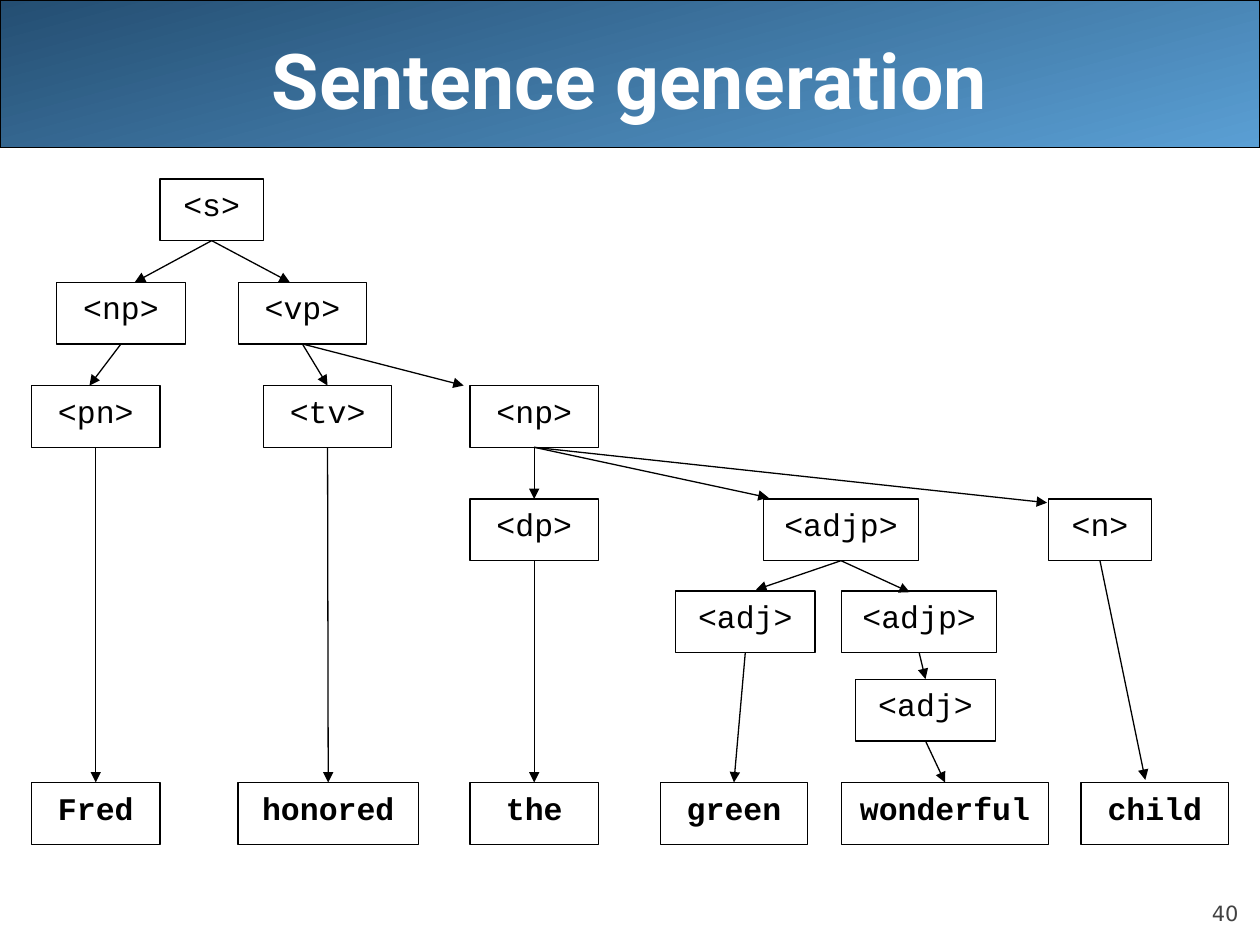
from dataclasses import dataclass

from lxml.etree import SubElement
from pptx import Presentation
from pptx.dml.color import RGBColor
from pptx.enum.shapes import MSO_CONNECTOR, MSO_SHAPE
from pptx.enum.text import MSO_ANCHOR, PP_ALIGN
from pptx.oxml.ns import qn
from pptx.util import Inches, Pt


@dataclass(frozen=True)
class Theme:
    ink: RGBColor = RGBColor(0x00, 0x00, 0x00)
    paper: RGBColor = RGBColor(0xFF, 0xFF, 0xFF)
    muted: RGBColor = RGBColor(0x42, 0x42, 0x42)
    banner_dark: RGBColor = RGBColor(0x24, 0x4E, 0x72)
    banner_light: RGBColor = RGBColor(0x5A, 0x9F, 0xD4)
    title_font: str = "Roboto"
    node_font: str = "Courier New"
    number_font: str = "DejaVu Sans"
    title_size: int = 44
    node_size: int = 18
    number_size: int = 12
    line_width: float = 0.75


class SlideBuilder:
    """Holds the theme and the slide being filled."""

    def __init__(self, slide, theme):
        self.slide = slide
        self.theme = theme

    def set_text(self, shape, text, font, size, color, bold=False,
                 align=PP_ALIGN.CENTER, anchor=MSO_ANCHOR.TOP):
        text_frame = shape.text_frame
        text_frame.text = text
        text_frame.word_wrap = True
        text_frame.vertical_anchor = anchor
        paragraph = text_frame.paragraphs[0]
        paragraph.alignment = align
        run_font = paragraph.runs[0].font
        run_font.name, run_font.size, run_font.bold = font, Pt(size), bold
        run_font.color.rgb = color

    def outline(self, shape):
        shape.line.color.rgb = self.theme.ink
        shape.line.width = Pt(self.theme.line_width)

    def box(self, preset, left, top, width, height):
        shape = self.slide.shapes.add_shape(
            preset, Inches(left), Inches(top), Inches(width), Inches(height))
        shape.shadow.inherit = False
        self.outline(shape)
        return shape

    def banner(self, width, height):
        shape = self.box(MSO_SHAPE.ROUNDED_RECTANGLE, 0, 0, width, height)
        shape.adjustments[0] = 0
        shape.fill.gradient()
        shape.fill.gradient_angle = 285
        stops = shape.fill.gradient_stops
        stops[0].color.rgb = self.theme.banner_dark
        stops[1].color.rgb = self.theme.banner_light

    def title(self, text):
        theme = self.theme
        shape = self.slide.shapes.add_textbox(
            Inches(0.5), Inches(0), Inches(9), Inches(1.25))
        self.set_text(shape, text, theme.title_font, theme.title_size,
                      theme.paper, bold=True, anchor=MSO_ANCHOR.MIDDLE)

    def page_number(self, text):
        theme = self.theme
        shape = self.slide.shapes.add_textbox(
            Inches(9), Inches(6.95), Inches(0.83), Inches(0.4))
        text_frame = shape.text_frame
        text_frame.margin_left = text_frame.margin_right = 0
        text_frame.margin_top = text_frame.margin_bottom = 0
        self.set_text(shape, text, theme.number_font, theme.number_size,
                      theme.muted, align=PP_ALIGN.RIGHT, anchor=MSO_ANCHOR.BOTTOM)

    def node(self, text, left, top, width):
        theme = self.theme
        shape = self.box(MSO_SHAPE.RECTANGLE, left, top, width, NODE_HEIGHT)
        shape.fill.solid()
        shape.fill.fore_color.rgb = theme.paper
        self.set_text(shape, text, theme.node_font, theme.node_size, theme.ink,
                      bold=not text.startswith("<"))
        return shape

    def arrow(self, parent, child, tip=None):
        """Runs from the parent's bottom to the child's top, or to a given tip."""
        end_x, end_y = tip or (0, 0)
        connector = self.slide.shapes.add_connector(
            MSO_CONNECTOR.STRAIGHT, 0, 0, Inches(end_x), Inches(end_y))
        connector.begin_connect(parent, 2)
        if tip is None:
            connector.end_connect(child, 0)
        self.outline(connector)
        properties = connector._element.spPr
        SubElement(properties.find(qn("a:ln")), qn("a:tailEnd"), type="triangle")
        SubElement(properties, qn("a:effectLst"))


NODE_HEIGHT = 0.49

# Top of each level of the parse tree
SENTENCE, PHRASE, PART, DETAIL, ADJECTIVE, INNER, WORD = (
    1.42, 2.24, 3.06, 3.96, 4.69, 5.39, 6.21)

# Key: label, left, level, width
NODES = {
    "s": ("<s>", 1.27, SENTENCE, 0.82),
    "subject": ("<np>", 0.45, PHRASE, 1.02),
    "vp": ("<vp>", 1.89, PHRASE, 1.02),
    "pn": ("<pn>", 0.25, PART, 1.02),
    "tv": ("<tv>", 2.09, PART, 1.02),
    "object": ("<np>", 3.73, PART, 1.02),
    "dp": ("<dp>", 3.73, DETAIL, 1.02),
    "adjp": ("<adjp>", 6.06, DETAIL, 1.23),
    "n": ("<n>", 8.32, DETAIL, 0.82),
    "adj": ("<adj>", 5.36, ADJECTIVE, 1.11),
    "inner adjp": ("<adjp>", 6.68, ADJECTIVE, 1.23),
    "inner adj": ("<adj>", 6.79, INNER, 1.11),
    "Fred": ("Fred", 0.25, WORD, 1.02),
    "honored": ("honored", 1.89, WORD, 1.43),
    "the": ("the", 3.73, WORD, 1.02),
    "green": ("green", 5.24, WORD, 1.17),
    "wonderful": ("wonderful", 6.68, WORD, 1.64),
    "child": ("child", 8.58, WORD, 1.17),
}

# Parent, child, and the tip where it is not the middle of the child's top
BRANCHES = [
    ("s", "subject", (1.07, 2.24)),
    ("s", "vp", (2.3, 2.24)),
    ("subject", "pn", (0.71, 3.06)),
    ("vp", "tv"),
    ("vp", "object", (3.68, 3.06)),
    ("pn", "Fred"),
    ("tv", "honored"),
    ("object", "dp"),
    ("object", "adjp", (6.1, 3.95)),
    ("object", "n", (8.31, 3.99)),
    ("dp", "the"),
    ("adjp", "adj", (6, 4.68)),
    ("adjp", "inner adjp", (7.22, 4.7)),
    ("inner adjp", "inner adj"),
    ("inner adj", "wonderful"),
    ("adj", "green"),
    ("n", "child", (9.09, 6.19)),
]


def main():
    presentation = Presentation()
    presentation.slide_width, presentation.slide_height = Inches(10), Inches(7.5)
    slide = presentation.slides.add_slide(presentation.slide_layouts[6])
    builder = SlideBuilder(slide, Theme())

    # Banner, page number and title
    builder.banner(10, 1.17)
    builder.page_number("40")
    builder.title("Sentence generation")

    # Parse tree
    nodes = {key: builder.node(*place) for key, place in NODES.items()}
    for parent, child, *tip in BRANCHES:
        builder.arrow(nodes[parent], nodes[child], *tip)

    presentation.save("out.pptx")


if __name__ == "__main__":
    main()
